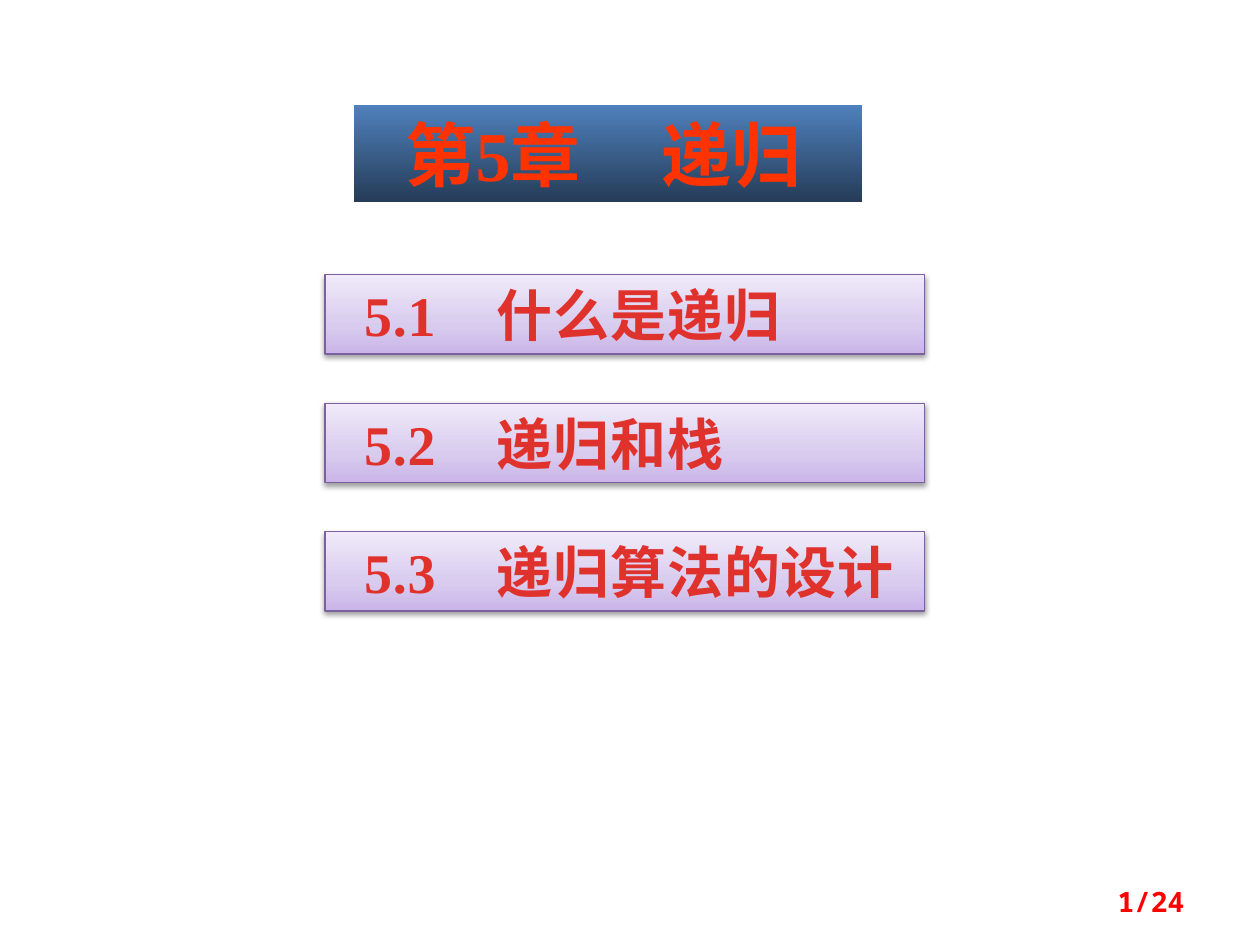
"""Build the chapter opening slide on recursion with its three sections."""
from copy import deepcopy

from lxml.etree import SubElement
from pptx import Presentation
from pptx.dml.color import RGBColor
from pptx.enum.shapes import MSO_SHAPE
from pptx.enum.text import MSO_ANCHOR, MSO_AUTO_SIZE, PP_ALIGN
from pptx.oxml.ns import qn
from pptx.util import Inches, Pt

COLORS = {
    "title": "FF3300", "title_top": "4F81BD", "title_bottom": "263C58",
    "section": "E0322D", "border": "7D60A0", "shadow": "000000",
    "bar_bottom": "C9B5E8", "bar_middle": "D8CBEE", "bar_top": "F0EAF9",
    "page": "FF0000",
}
SECTIONS = ["5.1\t什么是递归", "5.2\t递归和栈", "5.3\t递归算法的设计"]


def write(shape, text, size, color, font="Times New Roman", align=PP_ALIGN.LEFT,
          left=0.1, tab=None, spacing=None):
    frame = shape.text_frame
    frame.word_wrap = True
    frame.auto_size = MSO_AUTO_SIZE.NONE
    frame.vertical_anchor = MSO_ANCHOR.MIDDLE
    frame.margin_left = Inches(left)
    frame.margin_right = Inches(0.1)
    paragraph = frame.paragraphs[0]
    paragraph.alignment = align
    paragraph.space_before = Pt(0)
    if tab:
        tabs = SubElement(paragraph._p.get_or_add_pPr(), qn("a:tabLst"))
        SubElement(tabs, qn("a:tab"), pos=str(Inches(tab)), algn="l")
    run = paragraph.add_run()
    run.text = text
    run.font.name = font
    run.font.size = Pt(size)
    run.font.bold = True
    run.font.color.rgb = RGBColor.from_string(COLORS[color])
    if spacing:
        run.font._element.set("spc", str(round(spacing * 100)))


def fill_gradient(shape, stops, angle):
    shape.fill.gradient()
    shape.fill.gradient_angle = angle
    stop_list = shape.fill.gradient_stops[0]._gs.getparent()
    while len(stop_list) < len(stops):
        stop_list.append(deepcopy(stop_list[0]))
    for stop, (position, color) in zip(shape.fill.gradient_stops, stops):
        stop.position = position
        stop.color.rgb = RGBColor.from_string(COLORS[color])


prs = Presentation()
prs.slide_width, prs.slide_height = Inches(10), Inches(7.5)
slide = prs.slides.add_slide(prs.slide_layouts[5])

chapter = slide.shapes.title
chapter.left, chapter.top = Inches(2.81), Inches(0.83)
chapter.width, chapter.height = Inches(4.03), Inches(0.77)
fill_gradient(chapter, [(0, "title_top"), (1, "title_bottom")], 270)
write(chapter, "第5章\t递归", 40, "title", left=0.41, tab=2.03)

for index, section in enumerate(SECTIONS):
    bar = slide.shapes.add_shape(MSO_SHAPE.RECTANGLE, Inches(2.58), Inches(2.18 + 1.02 * index),
                                 Inches(4.76), Inches(0.63))
    fill_gradient(bar, [(0, "bar_bottom"), (0.35, "bar_middle"), (1, "bar_top")], 90)
    bar.line.color.rgb = RGBColor.from_string(COLORS["border"])
    bar.line.width = Pt(0.75)
    bar.shadow.inherit = False
    effects = bar._element.spPr.find(qn("a:effectLst"))
    shadow = SubElement(effects, qn("a:outerShdw"), blurRad="40000", dist="20000",
                        dir="5400000", rotWithShape="0")
    shadow_color = SubElement(shadow, qn("a:srgbClr"), val=COLORS["shadow"])
    SubElement(shadow_color, qn("a:alpha"), val="38000")
    write(bar, section, 32, "section", left=0.31, tab=1.05, spacing=0.5)

page_number = slide.shapes.add_textbox(Inches(7.17), Inches(6.95), Inches(2.33), Inches(0.4))
write(page_number, "1/24", 16, "page", font="Noto Sans Mono", align=PP_ALIGN.RIGHT)

prs.save("out.pptx")
